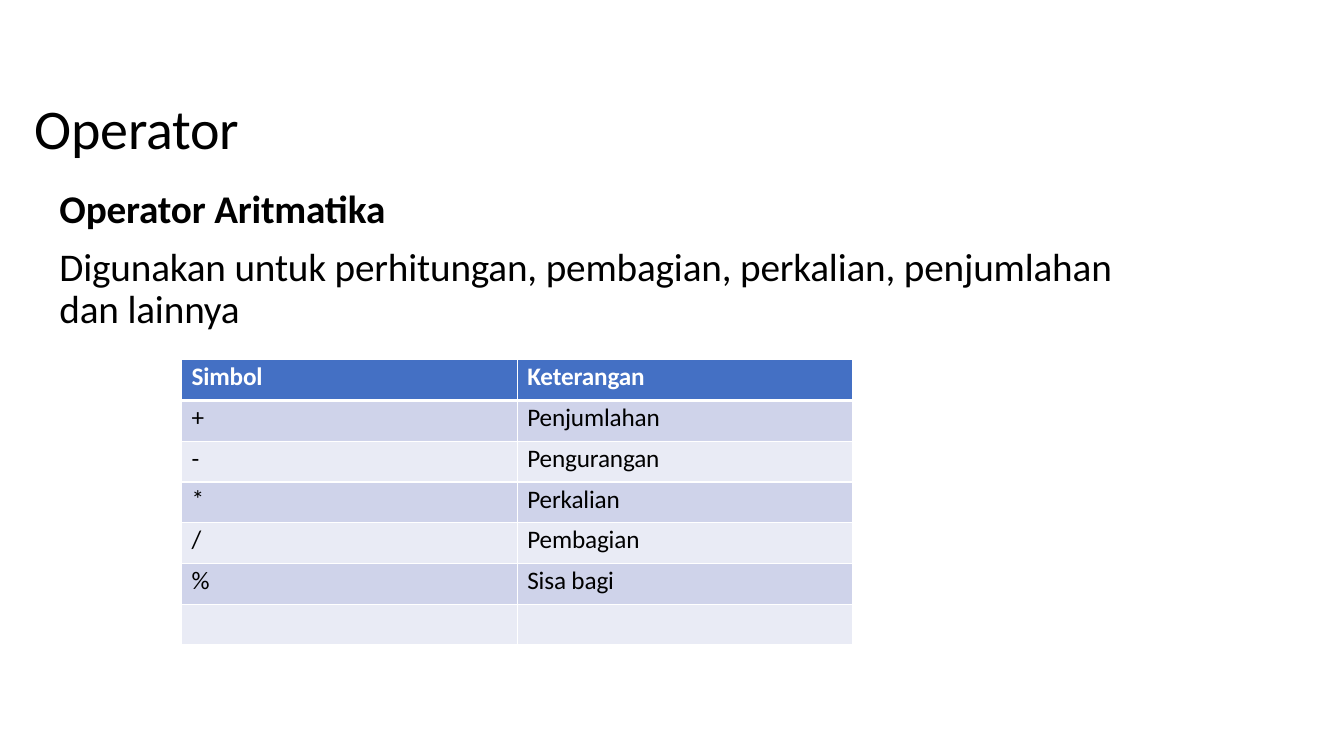
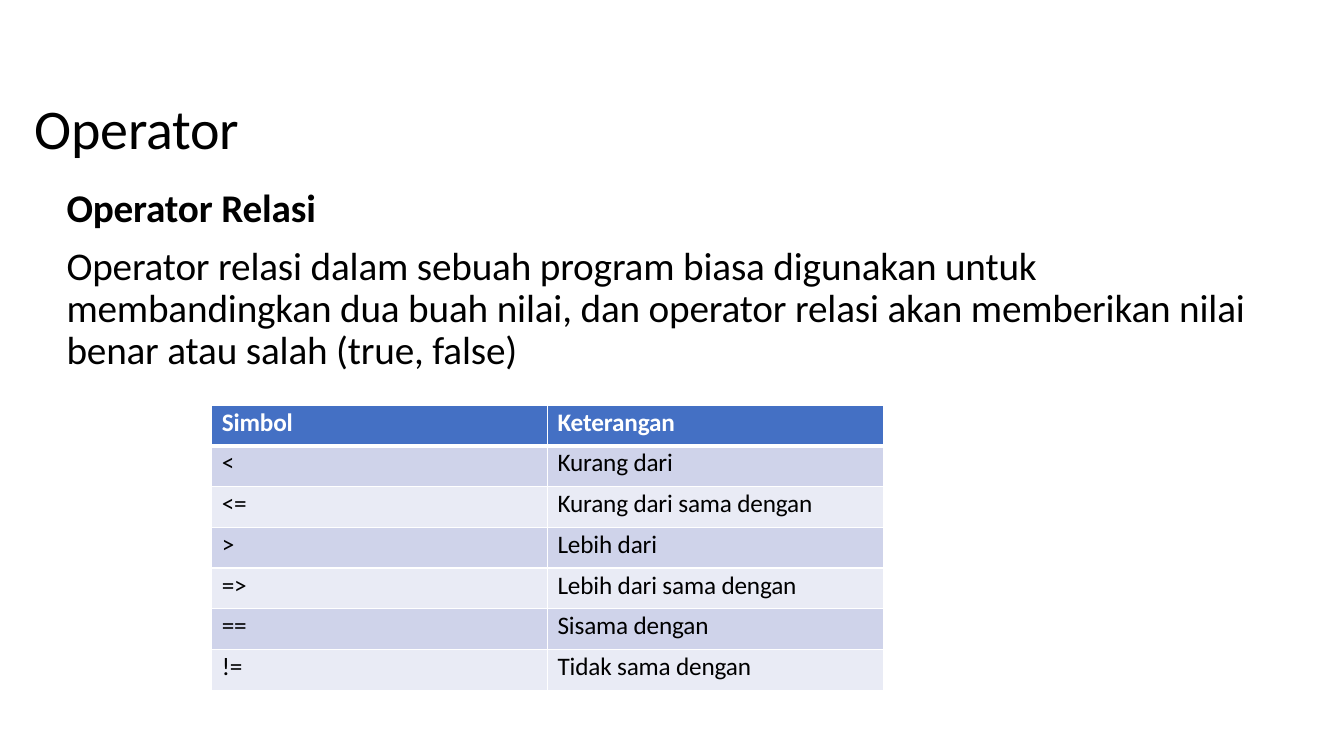
from lxml.etree import SubElement
from pptx import Presentation
from pptx.dml.color import RGBColor
from pptx.enum.text import MSO_ANCHOR, MSO_AUTO_SIZE, PP_ALIGN
from pptx.oxml.ns import qn
from pptx.util import Inches, Pt

# Content
TITLE = "Operator"
HEADER = ("Simbol", "Keterangan")
SLIDES = [
    {
        "heading": "Operator Aritmatika",
        "text": "Digunakan untuk perhitungan, pembagian, perkalian, penjumlahan dan lainnya",
        "body_at": (0.58, 1.71, 10.52, 1.58),
        "body_indent": 0.01,
        "table_at": (1.8, 3.57),
        "rows": [
            ("+", "Penjumlahan"),
            ("-", "Pengurangan"),
            ("*", "Perkalian"),
            ("/", "Pembagian"),
            ("%", "Sisa bagi"),
            ("", ""),
        ],
    },
    {
        "heading": "Operator Relasi",
        "text": "Operator relasi dalam sebuah program biasa digunakan untuk "
                "membandingkan dua buah nilai, dan operator relasi akan "
                "memberikan nilai benar atau salah (true, false)",
        "body_at": (0.3, 1.7, 12.17, 2.3),
        "body_indent": 0.36,
        "table_at": (2.1, 4.02),
        "rows": [
            ("<", "Kurang dari"),
            ("<=", "Kurang dari sama dengan"),
            (">", "Lebih dari"),
            ("=>", "Lebih dari sama dengan"),
            ("==", "Sisama dengan"),
            ("!=", "Tidak sama dengan"),
        ],
    },
]

# Shared style
FONT = "Calibri"
BLACK = RGBColor(0x00, 0x00, 0x00)
WHITE = RGBColor(0xFF, 0xFF, 0xFF)
HEADER_BLUE = RGBColor(0x44, 0x70, 0xC4)
BANDS = (RGBColor(0xE9, 0xEB, 0xF5), RGBColor(0xCF, 0xD3, 0xEA))
TITLE_AT = (0.3, 0.92, 2.13, 0.69)
COLUMN_WIDTH = 3.33
TABLE_HEIGHT = 2.83
TRACKING = -10  # hundredths of a point


def add_span(para, text, size, color=BLACK, bold=False):
    span = para.add_run()
    span.text = text
    font = span.font
    font.name, font.size, font.bold = FONT, Pt(size), bold
    font.color.rgb = color
    span._r.get_or_add_rPr().set("spc", str(TRACKING))


def place(box, at, indent, top):
    """Position a placeholder and give it plain, top-left text."""
    box.left, box.top, box.width, box.height = map(Inches, at)
    frame = box.text_frame
    frame.word_wrap = True
    frame.auto_size = MSO_AUTO_SIZE.NONE
    frame.vertical_anchor = MSO_ANCHOR.TOP
    frame.margin_left, frame.margin_top = Inches(indent), Inches(top)
    frame.margin_right = frame.margin_bottom = 0
    return frame


def format_para(para, space_before=0):
    props = para._p.get_or_add_pPr()
    props.set("marL", "0")
    props.set("indent", "0")
    SubElement(props, qn("a:buNone"))
    para.alignment = PP_ALIGN.LEFT
    para.space_before = Pt(space_before)


def set_borders(cell, widths):
    props = cell._tc.get_or_add_tcPr()
    for side, width in widths.items():
        line = SubElement(props, qn(f"a:ln{side}"), w=str(Pt(width)))
        fill = SubElement(line, qn("a:solidFill"))
        SubElement(fill, qn("a:srgbClr"), val=str(WHITE))


def add_operator_table(page, at, rows):
    left, top = at
    grid = [HEADER, *rows]
    table = page.shapes.add_table(
        len(grid), len(HEADER), Inches(left), Inches(top),
        Inches(COLUMN_WIDTH * len(HEADER)), Inches(TABLE_HEIGHT)).table
    for r, values in enumerate(grid):
        is_header = r == 0
        for c, value in enumerate(values):
            cell = table.cell(r, c)
            set_borders(cell, {"L": 1, "R": 1, "T": 3 if r == 1 else 1,
                               "B": 3 if is_header else 1})
            cell.fill.solid()
            cell.fill.fore_color.rgb = HEADER_BLUE if is_header else BANDS[r % 2]
            cell.margin_left, cell.margin_top = Inches(0.1), Inches(0.02)
            cell.margin_right = cell.margin_bottom = 0
            if value:
                add_span(cell.text_frame.paragraphs[0], value, 18,
                         WHITE if is_header else BLACK, is_header)


def add_operator_slide(deck, content):
    page = deck.slides.add_slide(deck.slide_layouts[1])

    # Title
    para = place(page.shapes.title, TITLE_AT, 0.04, 0.01).paragraphs[0]
    format_para(para)
    add_span(para, TITLE, 40)

    # Heading and explanation
    frame = place(page.placeholders[1], content["body_at"], content["body_indent"], 0.12)
    heading = frame.paragraphs[0]
    format_para(heading)
    add_span(heading, content["heading"], 28, bold=True)
    para = frame.add_paragraph()
    format_para(para, 11.4)
    para.line_spacing = Pt(30)
    add_span(para, content["text"], 28)

    add_operator_table(page, content["table_at"], content["rows"])


def main():
    deck = Presentation()
    deck.slide_width, deck.slide_height = Inches(13.33), Inches(7.5)
    for content in SLIDES:
        add_operator_slide(deck, content)
    deck.save("out.pptx")


if __name__ == "__main__":
    main()
